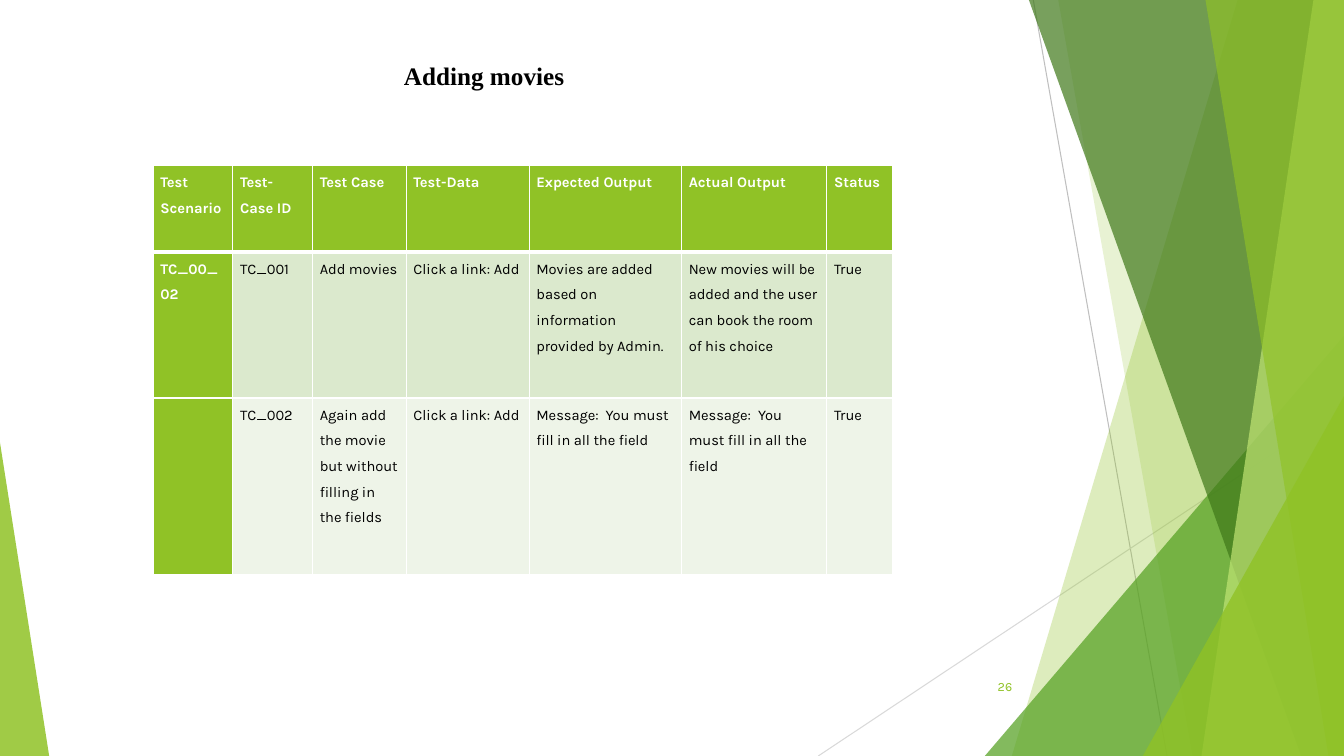
from lxml.etree import SubElement
from pptx import Presentation
from pptx.dml.color import RGBColor
from pptx.enum.shapes import MSO_CONNECTOR as Connector, MSO_SHAPE as Shape
from pptx.enum.text import MSO_ANCHOR as Anchor, PP_ALIGN as Align
from pptx.oxml.ns import qn
from pptx.util import Cm, Pt

WIDTH, HEIGHT = 33.87, 19.05
GREEN, WHITE, BLACK = "90C226", "FFFFFF", "000000"


def paint(target, color, opacity=100):
    """Give a shape or table cell a solid fill, opacity in percent."""
    target.fill.solid()
    target.fill.fore_color.rgb = RGBColor.from_string(color)
    if opacity < 100:
        color_node = target.fill._xPr.find(qn("a:solidFill"))[0]
        SubElement(color_node, qn("a:alpha"), val=str(opacity * 1000))


def write(text_frame, text, color, size, name="Karla", bold=False):
    """Put one formatted run in the first paragraph and return the paragraph."""
    paragraph = text_frame.paragraphs[0]
    run = paragraph.add_run()
    run.text = text
    run.font.color.rgb = RGBColor.from_string(color)
    for attribute, value in {"size": Pt(size), "name": name, "bold": bold}.items():
        setattr(run.font, attribute, value)
    return paragraph


presentation = Presentation()
presentation.slide_width, presentation.slide_height = Cm(WIDTH), Cm(HEIGHT)
slide = presentation.slides.add_slide(presentation.slide_layouts[6])
shapes = slide.shapes

# Thin background lines
for ends, color in [
    ((26.04, 0, 29.41, HEIGHT), "BFBFBF"),
    ((WIDTH, 10.24, 20.62, HEIGHT), "D9D9D9"),
]:
    line = shapes.add_connector(Connector.STRAIGHT, *map(Cm, ends))
    line.line.color.rgb = RGBColor.from_string(color)
    line.line.width = Pt(0.75)
    SubElement(line._element.spPr, qn("a:effectLst"))

# Facets: a band is (top x, bottom x) and reaches the right edge;
# a triangle is (left, top, width, apex) and stands on the bottom edge
facets = [
    ("band", (31.19, 25.5), GREEN, 30),
    ("band", (26.67, 30.05), GREEN, 20),
    ("triangle", (24.82, 8.46, 9.05, 1), "54A021", 72),
    ("band", (25.93, 32.79), "3F7819", 70),
    ("band", (33.1, 30.28), "C0E474", 70),
    ("band", (30.38, 33.48), GREEN, 65),
    ("triangle", (28.8, 9.98, 5.07, 1), GREEN, 80),
    ("triangle", (0, 11.15, 1.24, 0), GREEN, 85),
]
for kind, geometry, color, opacity in facets:
    if kind == "band":
        top_x, bottom_x = geometry
        corners = [(WIDTH, 0), (WIDTH, HEIGHT), (bottom_x, HEIGHT)]
        builder = shapes.build_freeform(Cm(top_x), 0)
        builder.add_line_segments([(Cm(x), Cm(y)) for x, y in corners])
        facet = builder.convert_to_shape()
    else:
        left, top, width, apex = geometry
        facet = shapes.add_shape(
            Shape.ISOSCELES_TRIANGLE, Cm(left), Cm(top), Cm(width), Cm(HEIGHT - top)
        )
        facet.adjustments[0] = apex
    paint(facet, color, opacity)
    facet.line.fill.background()
    facet.shadow.inherit = False

number_box = shapes.add_textbox(Cm(23.85), Cm(16.79), Cm(1.91), Cm(1.02))
number_box.text_frame.word_wrap = True
number_box.text_frame.vertical_anchor = Anchor.MIDDLE
write(number_box.text_frame, "26", GREEN, 9).alignment = Align.RIGHT

title_box = shapes.add_textbox(Cm(9.93), Cm(1.4), Cm(4.6), Cm(1.02))
title_box.text_frame.word_wrap = False
write(title_box.text_frame, "Adding movies", BLACK, 18, "Times New Roman", True)

# Test case table
column_widths = [2.01, 2.01, 2.36, 3.1, 3.84, 3.66, 1.65]
row_heights = [2.18, 3.68, 4.45]
row_fills = [GREEN, "DBE9CD", "EEF4E8"]
test_cases = [
    ["Test Scenario", "Test-Case ID", "Test Case", "Test-Data",
     "Expected Output", "Actual Output", "Status"],
    ["TC_00_02", "TC_001", "Add movies", "Click a link: Add",
     "Movies are added based on information provided by Admin.",
     "New movies will be added and the user can book the room of his choice", "True"],
    ["", "TC_002", "Again add the movie but without filling in the fields",
     "Click a link: Add", "Message:  You must fill in all the field",
     "Message:  You must fill in all the field", "True"],
]
cell_format = {
    "margin_left": Cm(0.18), "margin_right": Cm(0.18),
    "margin_top": 0, "margin_bottom": 0,
}
table = shapes.add_table(
    len(row_heights), len(column_widths), Cm(3.86), Cm(4.17),
    Cm(sum(column_widths)), Cm(sum(row_heights)),
).table
for column, width in zip(table.columns, column_widths):
    column.width = Cm(width)
for row, height in zip(table.rows, row_heights):
    row.height = Cm(height)

for row_index, texts in enumerate(test_cases):
    for column_index, text in enumerate(texts):
        cell = table.cell(row_index, column_index)
        is_header = row_index == 0 or column_index == 0
        for attribute, value in cell_format.items():
            setattr(cell, attribute, value)
        properties = cell._tc.get_or_add_tcPr()
        for side in "LRTB":
            under_header = (row_index, side) in [(0, "B"), (1, "T")]
            border = SubElement(
                properties, qn(f"a:ln{side}"), w=str(Pt(3 if under_header else 1))
            )
            border_fill = SubElement(border, qn("a:solidFill"))
            SubElement(border_fill, qn("a:srgbClr"), val=WHITE)
        paint(cell, GREEN if is_header else row_fills[row_index])
        if text:
            color = WHITE if is_header else BLACK
            paragraph = write(cell.text_frame, text, color, 10.5, bold=is_header)
            paragraph.line_spacing = 1.5

presentation.save("out.pptx")
